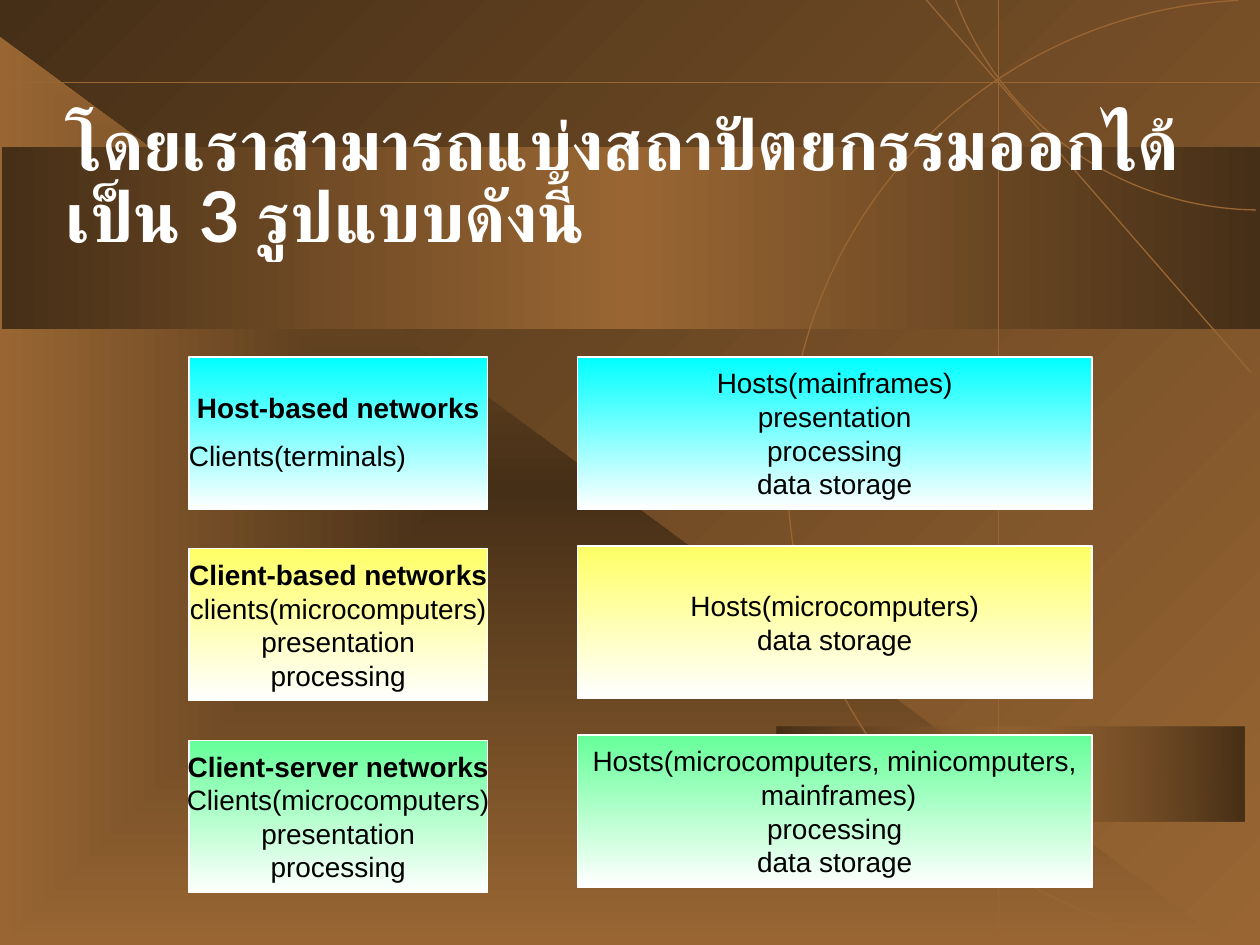
import lxml.etree
import pptx
import pptx.dml.color
import pptx.enum.shapes
import pptx.enum.text
import pptx.oxml.ns
import pptx.util

Pt = pptx.util.Pt
qn = pptx.oxml.ns.qn
SHAPES = pptx.enum.shapes.MSO_SHAPE
ALIGN = pptx.enum.text.PP_ALIGN
ANCHOR = pptx.enum.text.MSO_ANCHOR

COLORS = {
    "bronze": "996633",
    "umber": "462F17",
    "white": "FFFFFF",
    "black": "000000",
    "cyan": "00FFFF",
    "yellow": "FFFF66",
    "green": "66FF99",
}

NETWORKS = [
    ("cyan",
     ["Host-based networks", "Clients(terminals)"],
     ["Hosts(mainframes)", "presentation", "processing", "data storage"]),
    ("yellow",
     ["Client-based networks", "clients(microcomputers)", "presentation", "processing"],
     ["Hosts(microcomputers)", "data storage"]),
    ("green",
     ["Client-server networks", "Clients(microcomputers)", "presentation", "processing"],
     ["Hosts(microcomputers, minicomputers,", " mainframes)", "processing", "data storage"]),
]


def rgb(name):
    return pptx.dml.color.RGBColor.from_string(COLORS[name])


def set_gradient(fill, properties, stops, angle=None):
    fill.solid()
    gradient = lxml.etree.Element(qn("a:gradFill"), rotWithShape="1")
    stop_list = lxml.etree.SubElement(gradient, qn("a:gsLst"))
    for position, name, *alpha in stops:
        stop = lxml.etree.SubElement(stop_list, qn("a:gs"), pos=str(position * 1000))
        color = lxml.etree.SubElement(stop, qn("a:srgbClr"), val=COLORS[name])
        if alpha:
            lxml.etree.SubElement(color, qn("a:alpha"), val=str(alpha[0] * 1000))
    if angle is None:
        centre = lxml.etree.SubElement(gradient, qn("a:path"), path="rect")
        sides = dict.fromkeys("ltrb", "50000")
        lxml.etree.SubElement(centre, qn("a:fillToRect"), **sides)
    else:
        lxml.etree.SubElement(gradient, qn("a:lin"), ang=str(angle * 60000), scaled="0")
    properties.replace(properties.find(qn("a:solidFill")), gradient)


def add_panel(slide, preset, box, stops, angle=None):
    panel = slide.shapes.add_shape(preset, *map(Pt, box))
    panel.shadow.inherit = False
    set_gradient(panel.fill, panel._element.spPr, stops, angle)
    panel.line.fill.background()
    return panel


def style_line(line, name):
    line.color.rgb = rgb(name)
    line.width = Pt(0.75)


def add_arc(slide, centre_x, centre_y, radius, start, end):
    arc = slide.shapes.add_shape(
        SHAPES.ARC, Pt(centre_x - radius), Pt(centre_y - radius),
        Pt(2 * radius), Pt(2 * radius))
    arc.adjustments[0] = start * 0.6
    arc.adjustments[1] = end * 0.6
    arc.shadow.inherit = False
    arc.fill.background()
    style_line(arc.line, "bronze")


def add_backdrop(slide, box):
    left, top, width, height = box
    background = slide.background.fill
    background.solid()
    set_gradient(background, slide.background._cSld.bg.bgPr,
                 [(0, "bronze"), (100, "umber")], 225)

    add_panel(slide, SHAPES.RIGHT_TRIANGLE, (left, top + 21, 702, height - 21),
              [(0, "umber"), (100, "bronze")])
    add_panel(slide, SHAPES.RECTANGLE, (left + 444, top + 415, 267, 54.5),
              [(0, "umber"), (50, "bronze", 50), (100, "umber")], 180)
    add_panel(slide, SHAPES.RECTANGLE, (left + 1.25, top + 84, width - 1.25, 104),
              [(0, "umber"), (50, "bronze"), (100, "umber")], 180)

    add_arc(slide, left + width, top + height / 2, height / 2, 92.1, 267.4)
    add_arc(slide, left + width, top - 66, 186, 90.7, 159.4)

    rays = [(715, 213, 528.5, -1), (570.4, -1, 570.4, 536), (0, 47, width, 47)]
    for x1, y1, x2, y2 in rays:
        ray = slide.shapes.add_connector(
            pptx.enum.shapes.MSO_CONNECTOR.STRAIGHT,
            Pt(left + x1), Pt(top + y1), Pt(left + x2), Pt(top + y2))
        style_line(ray.line, "bronze")
        lxml.etree.SubElement(ray._element.spPr, qn("a:effectLst"))


def place_title(slide, box):
    title = slide.shapes.title
    title.left, title.top, title.width, title.height = map(Pt, box)
    slide.shapes._spTree.append(title._element)
    frame = title.text_frame
    frame.text = "โดยเราสามารถแบ่งสถาปัตยกรรมออกได้เป็น 3 รูปแบบดังนี้"
    frame.auto_size = pptx.enum.text.MSO_AUTO_SIZE.NONE
    frame.word_wrap = True
    frame.vertical_anchor = ANCHOR.BOTTOM
    frame.margin_bottom = Pt(51.5)
    heading = frame.paragraphs[0]
    heading.alignment = ALIGN.LEFT
    heading.line_spacing = 0.85
    heading.font.name = "Lato"
    heading.font.size = Pt(40)
    heading.font.bold = True
    heading.font.color.rgb = rgb("white")


def add_card(slide, box, color, lines, headed):
    card = add_panel(slide, SHAPES.RECTANGLE, box, [(0, color), (100, "white")], 90)
    style_line(card.line, "white")
    frame = card.text_frame
    frame.word_wrap = False
    frame.vertical_anchor = ANCHOR.MIDDLE
    frame.text = "\n".join(lines)
    for index, paragraph in enumerate(frame.paragraphs):
        paragraph.alignment = ALIGN.CENTER
        paragraph.font.name = "Arial"
        paragraph.font.size = Pt(16)
        paragraph.font.bold = headed and index == 0
        paragraph.font.color.rgb = rgb("black")
    return card


def align_terminals(card):
    frame = card.text_frame
    frame.word_wrap = True
    frame.margin_left = frame.margin_right = 0
    frame.margin_bottom = Pt(5.4)
    terminals = frame.paragraphs[1]
    terminals.alignment = ALIGN.LEFT
    terminals.space_before = Pt(8)


def add_networks(slide, box):
    left, top, width, height = box
    card_height, client_width, host_width = 87, 170.6, 294
    client_step = (height - card_height) / 2
    client_cards = []
    for row, (color, clients, hosts) in enumerate(NETWORKS):
        client_box = (left, top + row * client_step, client_width, card_height)
        host_box = (left + width - host_width, top + row * 108, host_width, card_height)
        client_cards.append(add_card(slide, client_box, color, clients, True))
        add_card(slide, host_box, color, hosts, False)
    align_terminals(client_cards[0])


def main():
    deck = pptx.Presentation()
    deck.slide_width, deck.slide_height = Pt(720), Pt(540)
    slide = deck.slides.add_slide(deck.slide_layouts[5])
    add_backdrop(slide, (0, 0, 720, 540))
    place_title(slide, (30, 102, 666, 96))
    add_networks(slide, (108, 204, 516, 306))
    deck.save("out.pptx")


if __name__ == "__main__":
    main()
